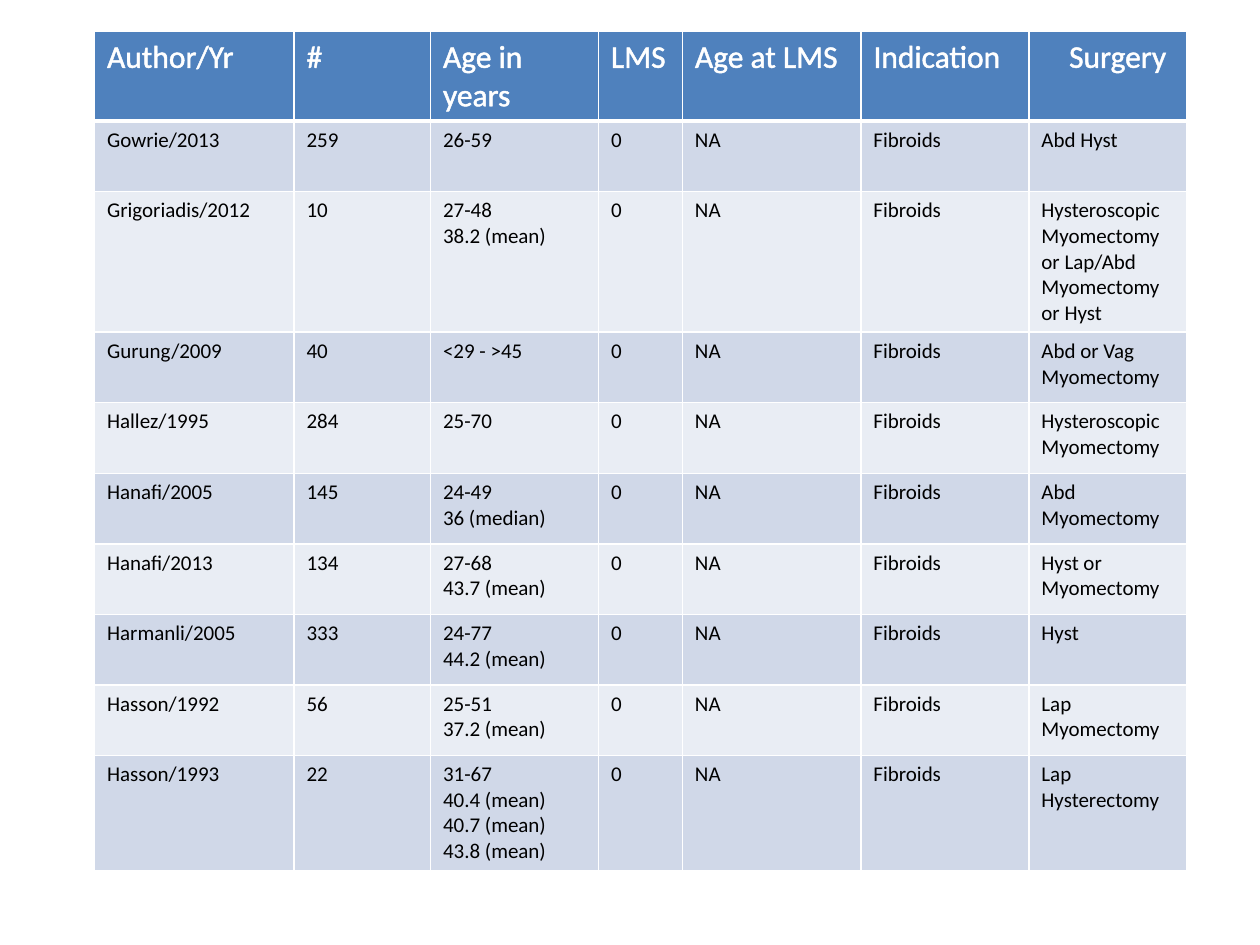
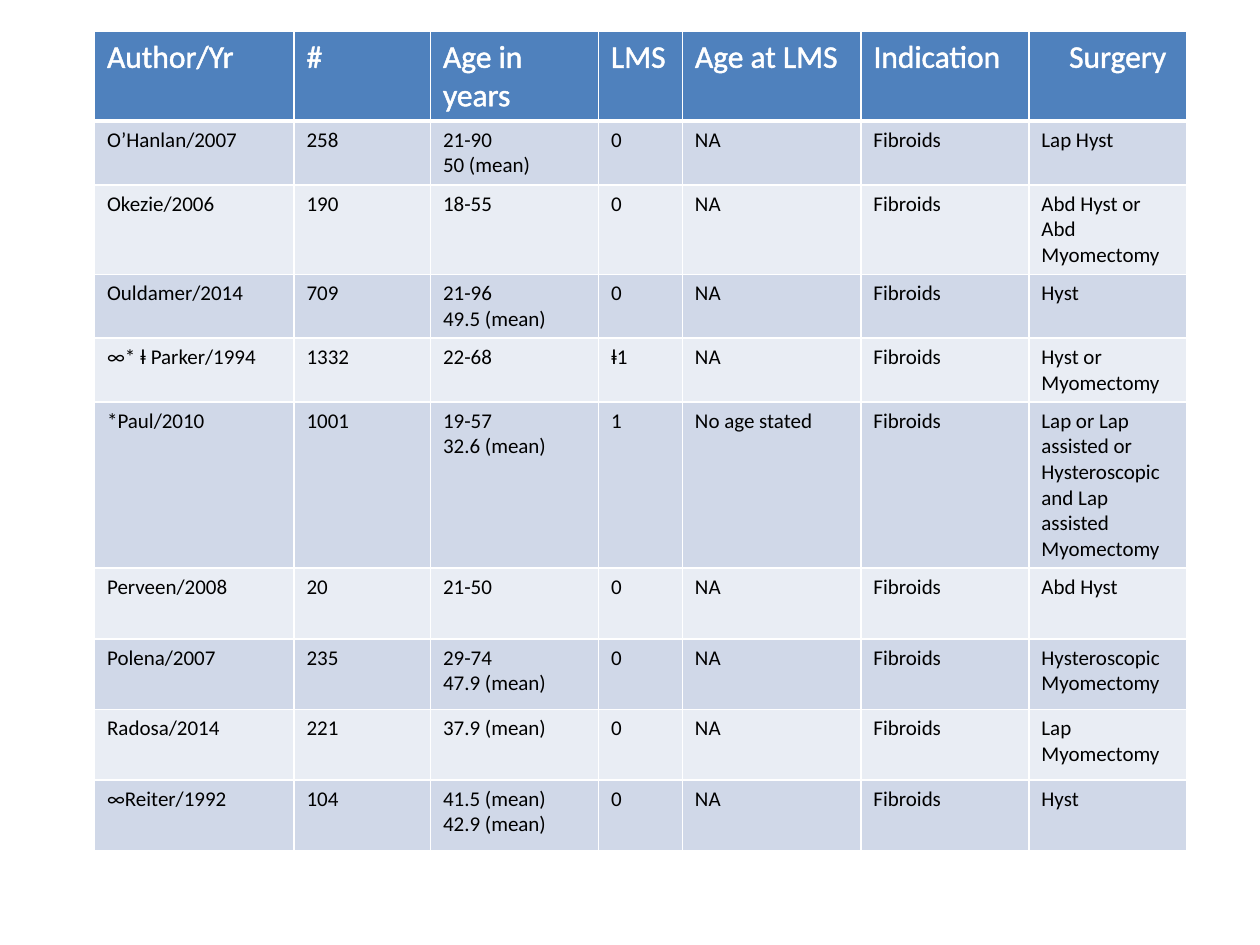
import pptx
import pptx.util
import pptx.dml.color
import pptx.oxml
import pptx.oxml.ns

HUES = {"head": "4F81BD", "odd": "D0D8E8", "even": "E9EDF4",
        "white": "FFFFFF", "ink": "000000"}
FONT = "Calibri"
WIDE, HIGH = 10, 7.5
BOX = (0.075, 1 / 30)               # left and top as shares of the slide
UNIT = 1 / 12                       # grid column in inches
SPANS = (19, 13, 16, 8, 17, 16, 15)
ROW = 0.56
HEADS = ("Author/Yr", "#", "Age in years", "LMS", "Age at LMS",
         "Indication", "Surgery")
CAUSE = "Fibroids"                  # the indication in every study

# author, number, ages, LMS, age at LMS, surgery
FIRST = (
    ("Gowrie/2013", "259", "26-59", "0", "NA", "Abd Hyst"),
    ("Grigoriadis/2012", "10", "27-48\n38.2 (mean)", "0", "NA",
     "Hysteroscopic Myomectomy or Lap/Abd Myomectomy or Hyst"),
    ("Gurung/2009", "40", "<29 - >45", "0", "NA", "Abd or Vag Myomectomy"),
    ("Hallez/1995", "284", "25-70", "0", "NA", "Hysteroscopic Myomectomy"),
    ("Hanafi/2005", "145", "24-49\n36 (median)", "0", "NA", "Abd Myomectomy"),
    ("Hanafi/2013", "134", "27-68\n43.7 (mean)", "0", "NA",
     "Hyst or Myomectomy"),
    ("Harmanli/2005", "333", "24-77\n44.2 (mean)", "0", "NA", "Hyst"),
    ("Hasson/1992", "56", "25-51\n37.2 (mean)", "0", "NA", "Lap Myomectomy"),
    ("Hasson/1993", "22",
     "31-67\n40.4 (mean)\n40.7 (mean)\n43.8 (mean)", "0", "NA",
     "Lap Hysterectomy"),
)
SECOND = (
    ("O’Hanlan/2007", "258", "21-90\n50 (mean)", "0", "NA", "Lap Hyst"),
    ("Okezie/2006", "190", "18-55", "0", "NA", "Abd Hyst or Abd Myomectomy"),
    ("Ouldamer/2014", "709", "21-96\n49.5 (mean)", "0", "NA", "Hyst"),
    ("∞* ⱡ Parker/1994", "1332", "22-68", "ⱡ1", "NA", "Hyst or Myomectomy"),
    ("*Paul/2010", "1001", "19-57\n32.6 (mean)", "1", "No age stated",
     "Lap or Lap assisted or Hysteroscopic and Lap assisted Myomectomy"),
    ("Perveen/2008", "20", "21-50", "0", "NA", "Abd Hyst"),
    ("Polena/2007", "235", "29-74\n47.9 (mean)", "0", "NA",
     "Hysteroscopic Myomectomy"),
    ("Radosa/2014", "221", "37.9 (mean)", "0", "NA", "Lap Myomectomy"),
    ("∞Reiter/1992", "104", "41.5 (mean)\n42.9 (mean)", "0", "NA", "Hyst"),
)
PAGES = (
    (FIRST, [ROW] * 10),
    (SECOND, [ROW, 0.33, 0.33, 0.47, 0.42] + [ROW] * 5),
)


def inch(size):
    return pptx.util.Inches(size)


def hue(name):
    return pptx.dml.color.RGBColor.from_string(HUES[name])


def line(tag, width):
    """Return a solid white line element of the given width in points."""
    return pptx.oxml.parse_xml(
        f'<a:{tag} {pptx.oxml.ns.nsdecls("a")} w="{int(width * 12700)}">'
        f'<a:solidFill><a:srgbClr val="{HUES["white"]}"/></a:solidFill>'
        f'</a:{tag}>')


def edge(cell, row):
    """Rule the cell in white, heavier between heading and body."""
    props = cell._tc.get_or_add_tcPr()
    wide = {"lnL": 1, "lnR": 1,
            "lnT": 3 if row == 1 else 1, "lnB": 3 if row == 0 else 1}
    for spot, (tag, width) in enumerate(wide.items()):
        props.insert(spot, line(tag, width))


def fill(cell, text, row):
    head = row == 0
    cell.text_frame.text = text
    cell.fill.solid()
    cell.fill.fore_color.rgb = hue(
        "head" if head else "odd" if row % 2 else "even")
    edge(cell, row)
    for para in cell.text_frame.paragraphs:
        for run in para.runs:
            run.font.name = FONT
            run.font.size = pptx.util.Pt(18 if head else 12)
            run.font.bold = False
            run.font.color.rgb = hue("white" if head else "ink")
            if head:
                run._r.get_or_add_rPr().insert(0, line("ln", 1.45))


def grid(slide, box, rows, highs):
    """Place a table of studies with its top left corner at box."""
    left, top = box
    table = slide.shapes.add_table(
        len(highs), len(SPANS), inch(left * WIDE), inch(top * HIGH),
        inch(sum(SPANS) * UNIT), inch(sum(highs))).table
    for col, span in zip(table.columns, SPANS):
        col.width = inch(span * UNIT)
    for row, high in zip(table.rows, highs):
        row.height = inch(high)
    body = [(*study[:5], CAUSE, study[5]) for study in rows]
    for r, texts in enumerate([HEADS, *body]):
        for c, text in enumerate(texts):
            fill(table.cell(r, c), text, r)
    table.cell(0, len(SPANS) - 1).margin_left = inch(0.32)


def main():
    deck = pptx.Presentation()
    deck.slide_width, deck.slide_height = inch(WIDE), inch(HIGH)
    for rows, highs in PAGES:
        slide = deck.slides.add_slide(deck.slide_layouts[6])
        grid(slide, BOX, rows, highs)
    deck.save("out.pptx")


if __name__ == "__main__":
    main()
